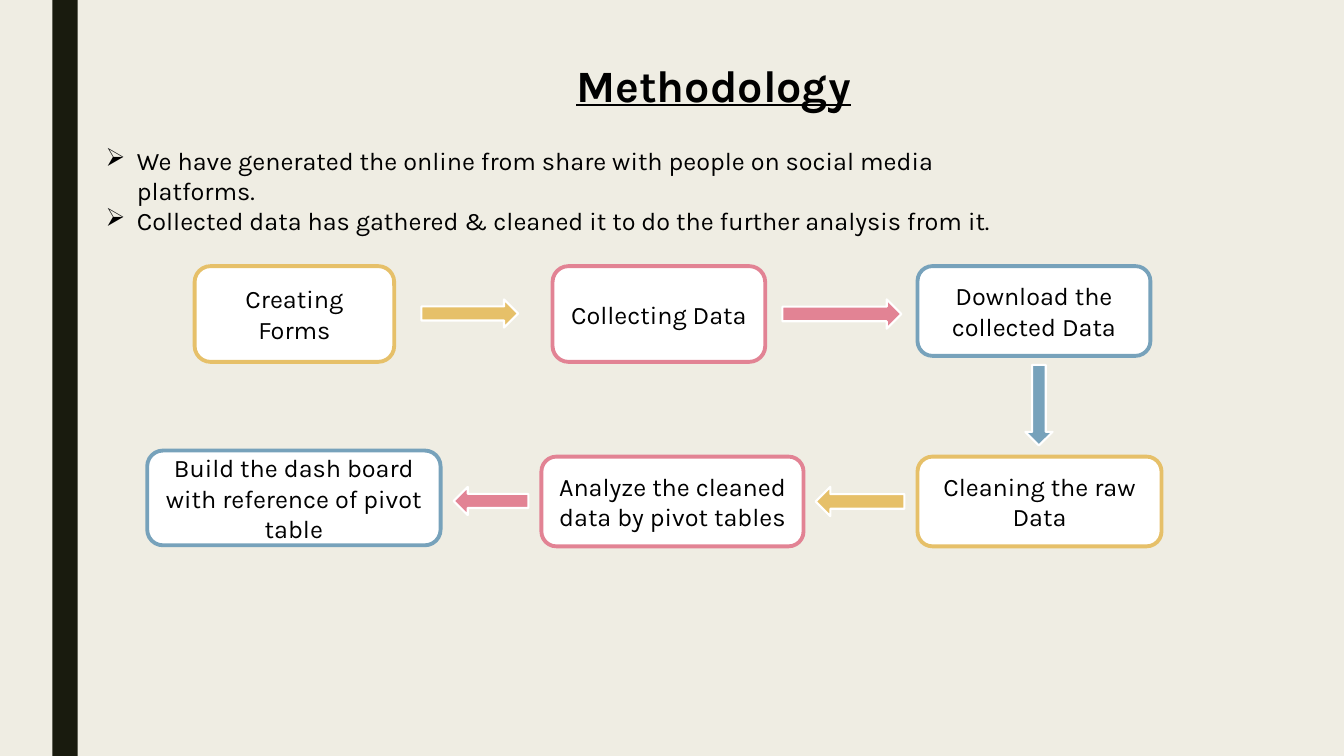
from dataclasses import dataclass

import pptx
import pptx.dml.color
import pptx.enum.shapes
import pptx.enum.text
import pptx.oxml.ns
import pptx.util
from lxml import etree

PX = 9144
FONT = "Karla"
RGBColor = pptx.dml.color.RGBColor
Preset = pptx.enum.shapes.MSO_SHAPE
Align = pptx.enum.text.PP_ALIGN

CREAM = RGBColor(0xEF, 0xED, 0xE3)
DARK = RGBColor(0x19, 0x1B, 0x0E)
BLACK = RGBColor(0x00, 0x00, 0x00)
WHITE = RGBColor(0xFF, 0xFF, 0xFF)
GOLD = RGBColor(0xE6, 0xC0, 0x69)
PINK = RGBColor(0xE2, 0x83, 0x94)
BLUE = RGBColor(0x77, 0xA2, 0xBB)


@dataclass(frozen=True)
class Area:
    left: int
    top: int
    width: int
    height: int

    def emu(self) -> list[pptx.util.Emu]:
        lengths = (self.left, self.top, self.width, self.height)
        return [pptx.util.Emu(length * PX) for length in lengths]


@dataclass(frozen=True)
class Step:
    text: str
    area: Area
    color: RGBColor
    preset: Preset = Preset.FLOWCHART_ALTERNATE_PROCESS


@dataclass(frozen=True)
class Arrow:
    preset: Preset
    area: Area
    color: RGBColor


STEPS = [
    Step("Creating Forms", Area(193, 264, 198, 95), GOLD, Preset.ROUNDED_RECTANGLE),
    Step("Collecting Data", Area(548, 264, 211, 95), PINK),
    Step("Download the collected Data", Area(910, 264, 231, 89), BLUE),
    Step("Cleaning the raw Data", Area(910, 453, 242, 89), GOLD),
    Step("Analyze the cleaned data by pivot tables", Area(537, 453, 260, 89), PINK,
         Preset.ROUNDED_RECTANGLE),
    Step("Build the dash board with reference of pivot table",
         Area(146, 447, 291, 94), BLUE),
]
ARROWS = [
    Arrow(Preset.RIGHT_ARROW, Area(418, 297, 96, 28), GOLD),
    Arrow(Preset.RIGHT_ARROW, Area(776, 297, 118, 29), PINK),
    Arrow(Preset.DOWN_ARROW, Area(1017, 362, 27, 80), BLUE),
    Arrow(Preset.LEFT_ARROW, Area(809, 483, 88, 29), GOLD),
    Arrow(Preset.LEFT_ARROW, Area(450, 483, 74, 28), PINK),
]
NOTES = [
    "We have generated the online from share with people on social media platforms.",
    "Collected data has gathered & cleaned it to do the further analysis from it.",
]


def add_span(para, text: str, size: int = 18, heading: bool = False) -> None:
    span = para.add_run()
    span.text = text
    span.font.name = FONT
    span.font.size = pptx.util.Pt(size)
    span.font.color.rgb = BLACK
    if heading:
        span.font.bold = True
        span.font.underline = True


def add_block(page, preset: Preset, area: Area, fill: RGBColor,
              line: RGBColor | None = None, weight: float = 0):
    block = page.shapes.add_shape(preset, *area.emu())
    block.shadow.inherit = False
    block.fill.solid()
    block.fill.fore_color.rgb = fill
    if line is None:
        block.line.fill.background()
    else:
        block.line.color.rgb = line
        block.line.width = pptx.util.Pt(weight)
    return block


def add_step(page, step: Step) -> None:
    frame = add_block(page, step.preset, step.area, WHITE, step.color, 2.75).text_frame
    frame.word_wrap = True
    frame.vertical_anchor = pptx.enum.text.MSO_ANCHOR.MIDDLE
    para = frame.paragraphs[0]
    para.alignment = Align.CENTER
    add_span(para, step.text)


def add_text_frame(page, area: Area):
    frame = page.shapes.add_textbox(*area.emu()).text_frame
    frame.word_wrap = True
    return frame


def add_title(page) -> None:
    para = add_text_frame(page, Area(83, 52, 1250, 64)).paragraphs[0]
    para.alignment = Align.CENTER
    add_span(para, "Methodology", 32, True)


def add_notes(page) -> None:
    frame = add_text_frame(page, Area(95, 139, 909, 101))
    for index, note in enumerate(NOTES):
        para = frame.add_paragraph() if index else frame.paragraphs[0]
        properties = para._p.get_or_add_pPr()
        properties.set("marL", str(31 * PX))
        properties.set("indent", str(-31 * PX))
        bullet = etree.SubElement(properties, pptx.oxml.ns.qn("a:buChar"))
        bullet.set("char", "➢")
        add_span(para, note)


def main() -> None:
    deck = pptx.Presentation()
    deck.slide_width = pptx.util.Emu(1333 * PX)
    deck.slide_height = pptx.util.Emu(750 * PX)
    page = deck.slides.add_slide(deck.slide_layouts[6])
    page.background.fill.solid()
    page.background.fill.fore_color.rgb = CREAM
    add_block(page, Preset.RECTANGLE, Area(52, 0, 25, 750), DARK)
    add_title(page)
    add_notes(page)
    for step in STEPS:
        add_step(page, step)
    for arrow in ARROWS:
        add_block(page, arrow.preset, arrow.area, arrow.color, WHITE, 1.5)
    deck.save("out.pptx")


if __name__ == "__main__":
    main()
